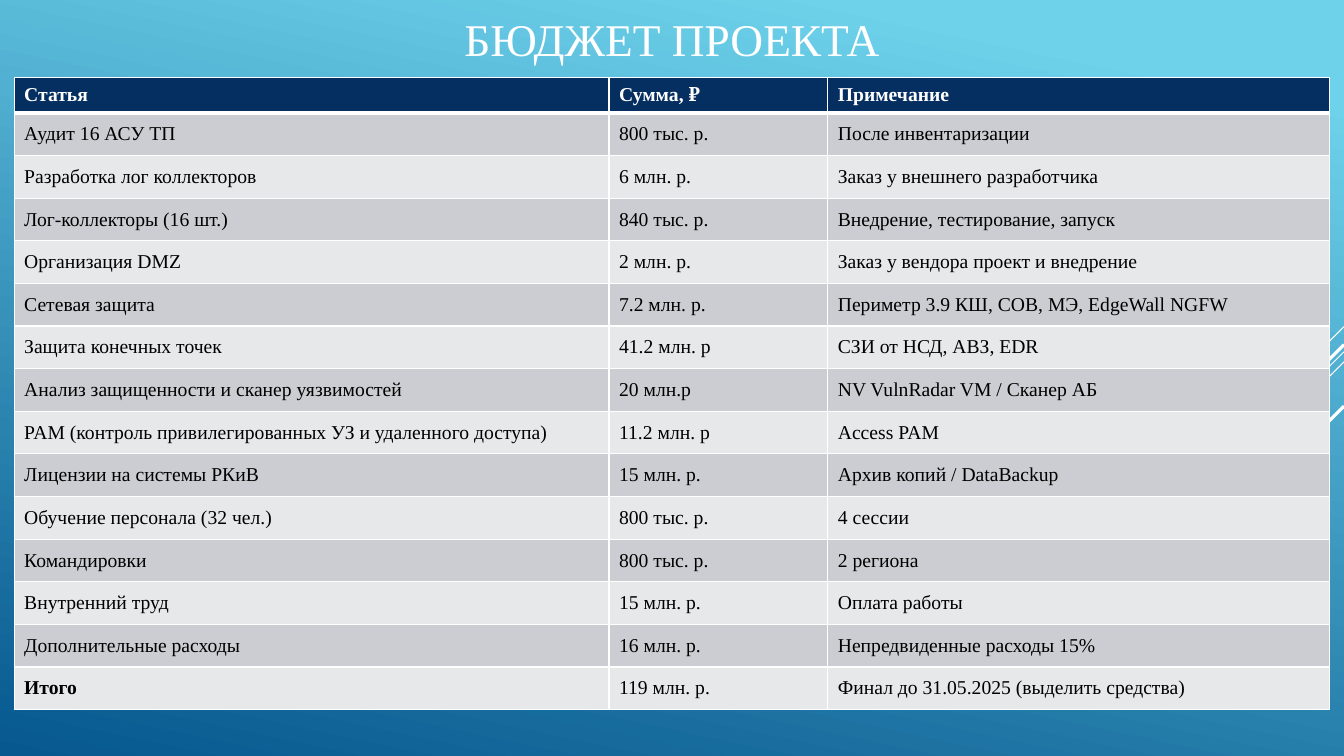
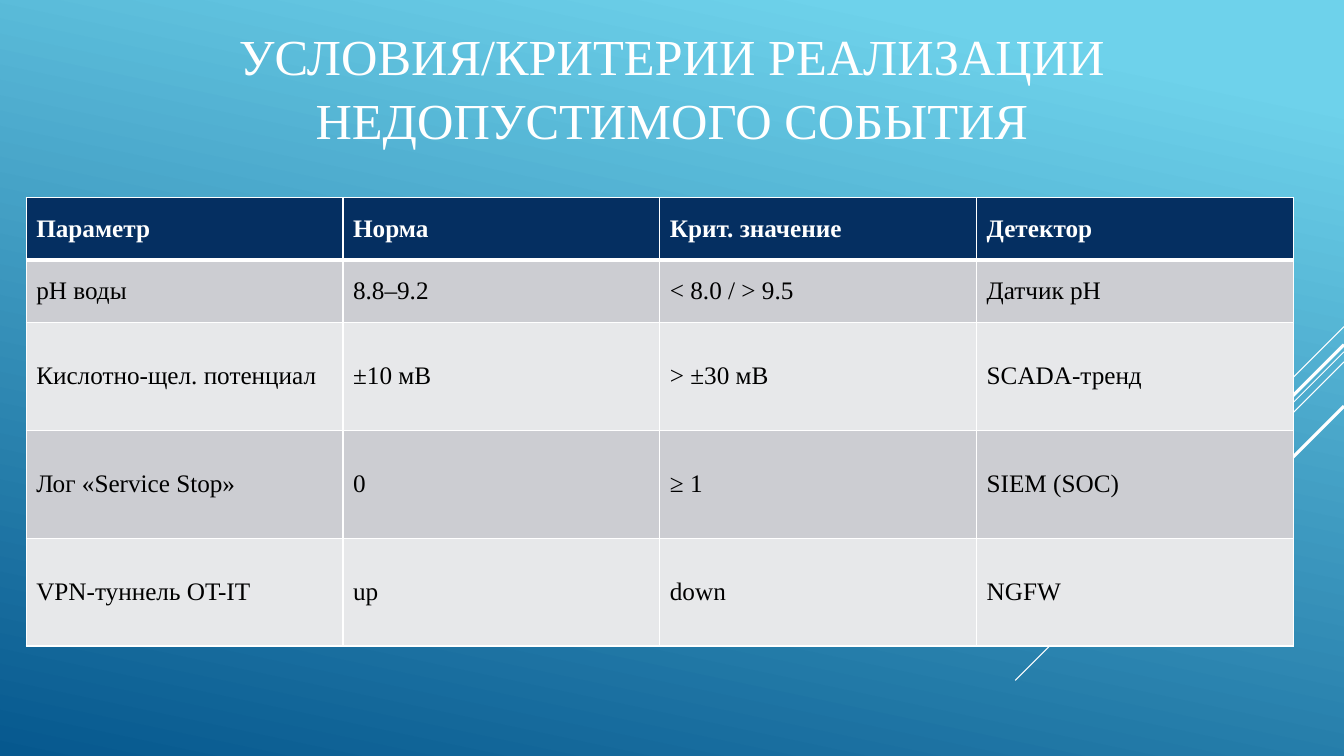
from lxml import etree
from pptx import Presentation
from pptx.dml.color import RGBColor
from pptx.enum import shapes, text
from pptx.oxml import ns
from pptx.util import Inches, Pt

# Shared style
FONT = "Times New Roman"
WHITE, BLACK, NAVY = "FFFFFF", "000000", "052F61"
BANDS = ("CCCDD2", "E7E8EA")
SKY, DEEP_BLUE = "6ED2EB", "06588E"
WIDTH, HEIGHT = 13.33, 7.5
THIN, THICK = 1, 3

# Diagonal rays from the right edge: start height, horizontal reach, weight
RAYS = [
    (3.24, 1.00, 0.75),
    (3.49, 3.26, 0.75),
    (3.59, 2.07, 0.75),
    (3.42, 1.91, 2.25),
    (4.03, 1.39, 2.25),
]

BUDGET = [
    ("Статья", "Сумма, ₽", "Примечание"),
    ("Аудит 16 АСУ ТП", "800 тыс. р.", "После инвентаризации"),
    ("Разработка лог коллекторов", "6 млн. р.", "Заказ у внешнего разработчика"),
    ("Лог-коллекторы (16 шт.)", "840 тыс. р.", "Внедрение, тестирование, запуск"),
    ("Организация DMZ", "2 млн. р.", "Заказ у вендора проект и внедрение"),
    ("Сетевая защита", "7.2 млн. р.", "Периметр 3.9 КШ, СОВ, МЭ, EdgeWall NGFW"),
    ("Защита конечных точек", "41.2 млн. р", "СЗИ от НСД, АВЗ, EDR"),
    ("Анализ защищенности и сканер уязвимостей", "20 млн.р", "NV VulnRadar VM / Сканер АБ"),
    ("PAM (контроль привилегированных УЗ и удаленного доступа)", "11.2 млн. р", "Access PAM"),
    ("Лицензии на системы РКиВ", "15 млн. р.", "Архив копий / DataBackup"),
    ("Обучение персонала (32 чел.)", "800 тыс. р.", "4 сессии"),
    ("Командировки", "800 тыс. р.", "2 региона"),
    ("Внутренний труд", "15 млн. р.", "Оплата работы"),
    ("Дополнительные расходы", "16 млн. р.", "Непредвиденные расходы 15%"),
    ("Итого", "119 млн. р.", "Финал до 31.05.2025 (выделить средства)"),
]

CRITERIA = [
    ("Параметр", "Норма", "Крит. значение", "Детектор"),
    ("pH воды", "8.8–9.2", "< 8.0 / > 9.5", "Датчик pH"),
    ("Кислотно-щел. потенциал", "±10 мВ", "> ±30 мВ", "SCADA-тренд"),
    ("Лог «Service Stop»", "0", "≥ 1", "SIEM (SOC)"),
    ("VPN-туннель OT-IT", "up", "down", "NGFW"),
]


def rgb(color):
    return RGBColor.from_string(color)


def set_background(master):
    """Diagonal gradient behind every slide."""
    fill = master.background.fill
    fill.gradient()
    fill.gradient_angle = 258
    for stop, color, position in zip(fill.gradient_stops, (SKY, DEEP_BLUE), (0.1, 1)):
        stop.color.rgb = rgb(color)
        stop.position = position


def add_rays(slide):
    for top, reach, weight in RAYS:
        ray = slide.shapes.add_connector(
            shapes.MSO_CONNECTOR.STRAIGHT,
            Inches(WIDTH), Inches(top), Inches(WIDTH - reach), Inches(top + reach))
        ray.line.color.rgb = rgb(WHITE)
        ray.line.width = Pt(weight)
        etree.SubElement(ray._element.spPr, ns.qn("a:effectLst"))


def set_title(slide, wording, height, size):
    title = slide.shapes.title
    title.left = title.top = 0
    title.width, title.height = Inches(WIDTH), Inches(height)
    frame = title.text_frame
    frame.text = wording
    frame.word_wrap = True
    frame.auto_size = text.MSO_AUTO_SIZE.NONE
    frame.vertical_anchor = text.MSO_ANCHOR.MIDDLE
    frame.margin_left = frame.margin_right = Inches(0.2)
    frame.margin_top = Inches(0.1)
    heading = frame.paragraphs[0]
    heading.alignment = text.PP_ALIGN.CENTER
    heading.line_spacing = 1.05
    set_font(heading, size, WHITE, False)


def set_font(paragraph, size, color, bold):
    font = paragraph.font
    font.name, font.size, font.bold = FONT, Pt(size), bold
    font.color.rgb = rgb(color)


def set_borders(cell, top, bottom):
    """White rules on four sides; they come before the fill in the XML."""
    properties = cell._tc.get_or_add_tcPr()
    sides = {"L": THIN, "R": THIN, "T": top, "B": bottom}
    for index, (side, weight) in enumerate(sides.items()):
        rule = etree.Element(ns.qn(f"a:ln{side}"), w=str(Pt(weight)))
        fill = etree.SubElement(rule, ns.qn("a:solidFill"))
        etree.SubElement(fill, ns.qn("a:srgbClr"), val=WHITE)
        properties.insert(index, rule)


def add_grid(slide, rows, left, top, widths, heights, size):
    """Table with a navy header and two alternating bands."""
    grid = slide.shapes.add_table(
        len(rows), len(widths), Inches(left), Inches(top),
        Inches(sum(widths)), Inches(sum(heights))).table
    for column, width in zip(grid.columns, widths):
        column.width = Inches(width)
    for r, (values, height) in enumerate(zip(rows, heights)):
        grid.rows[r].height = Inches(height)
        header = r == 0
        for c, value in enumerate(values):
            cell = grid.cell(r, c)
            cell.text = value
            cell.vertical_anchor = text.MSO_ANCHOR.MIDDLE
            cell.fill.solid()
            cell.fill.fore_color.rgb = rgb(NAVY if header else BANDS[(r - 1) % 2])
            set_borders(cell, THICK if r == 1 else THIN, THICK if header else THIN)
            set_font(cell.text_frame.paragraphs[0], size,
                     WHITE if header else BLACK, header or value == "Итого")


def add_table_slide(deck, title, title_height, title_size, **grid):
    slide = deck.slides.add_slide(deck.slide_layouts[5])
    add_rays(slide)
    set_title(slide, title, title_height, title_size)
    add_grid(slide, **grid)


def main():
    deck = Presentation()
    deck.slide_width, deck.slide_height = Inches(WIDTH), Inches(HEIGHT)
    set_background(deck.slide_master)

    # Budget: body rows share the height below the header
    header, total = 0.35, 6.27
    items = len(BUDGET) - 1
    add_table_slide(
        deck, "БЮДЖЕТ ПРОЕКТА", 0.68, 32.4,
        rows=BUDGET, left=0.14, top=0.77, widths=[5.9, 2.17, 4.98],
        heights=[header] + [(total - header) / items] * items, size=14)

    # Criteria: four equal columns
    add_table_slide(
        deck, "УСЛОВИЯ/КРИТЕРИИ РЕАЛИЗАЦИИ НЕДОПУСТИМОГО СОБЫТИЯ", 1.65, 36,
        rows=CRITERIA, left=0.26, top=1.96, widths=[12.57 / 4] * 4,
        heights=[0.62] * 2 + [1.07] * 3, size=18)

    deck.save("out.pptx")


if __name__ == "__main__":
    main()
